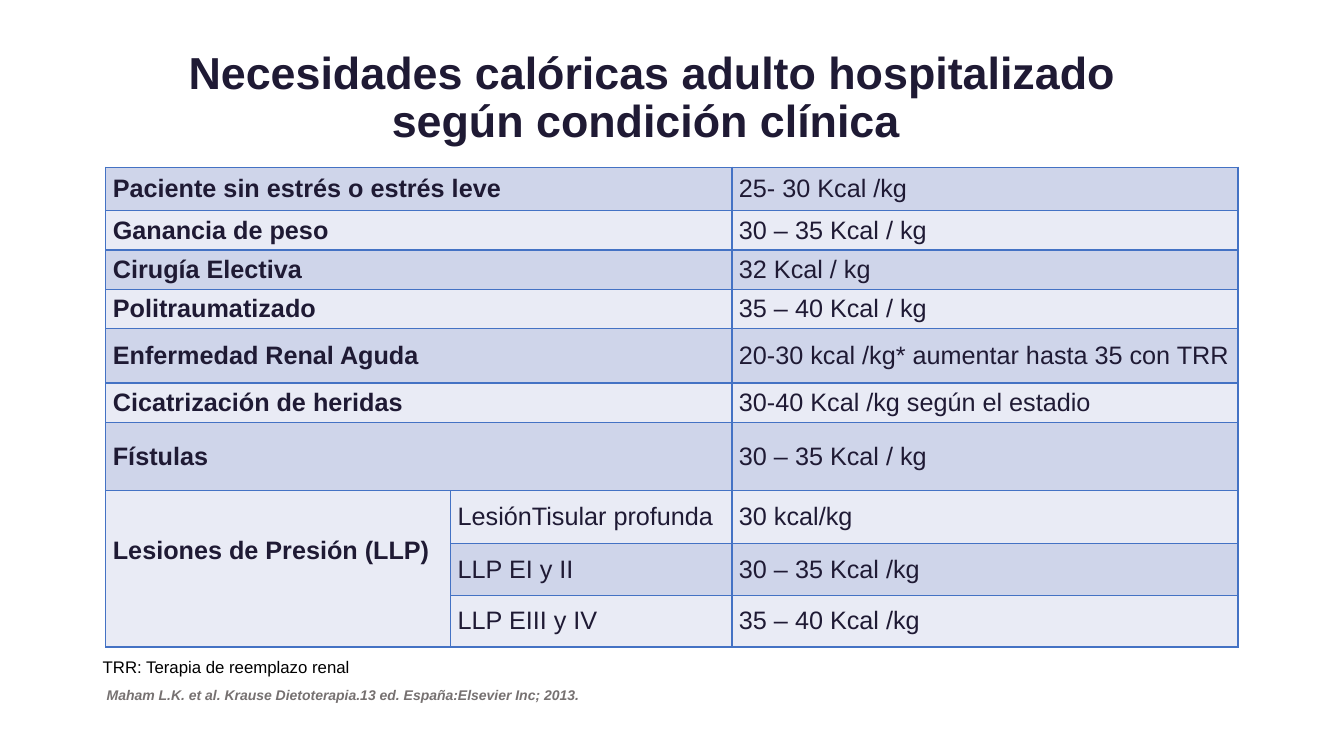
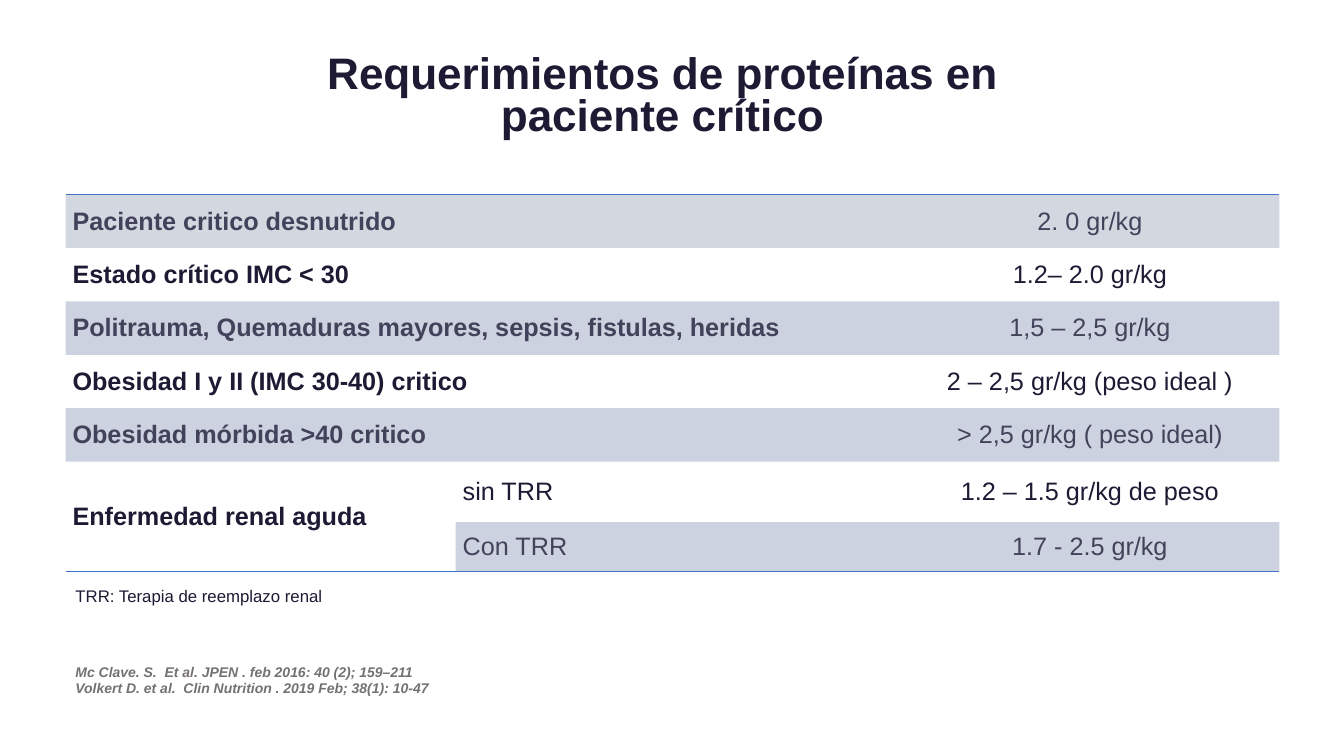
from lxml import etree
from pptx import Presentation
from pptx.dml.color import RGBColor
from pptx.enum.text import MSO_ANCHOR as Anchor, MSO_AUTO_SIZE as AutoSize, PP_ALIGN as Align
from pptx.oxml.ns import qn
from pptx.util import Inches, Pt

FONT = "Arial"
NO_GRID_STYLE = "{2D5ABB26-0587-4C30-8999-92F81FD0307C}"
COLORS = {
    "ink": "1F1A34", "muted": "43425B", "grey": "767171", "black": "000000",
    "rule": "4472C4", "band": "CFD5EA", "pale": "E9EBF5",
    "slate": "203864", "navy": "002060",
}
TRR_NOTE = "TRR: Terapia de reemplazo renal"
TITLE = dict(bold=True, align=Align.CENTER)
NOTE = dict(size=12, wrap=False, grow=True)
SOURCE = dict(size=10, color="grey", bold=True, italic=True, grow=True)

# Each row: label, sub-label, value, height.
# No sub-label: the label spans two columns. No label: the one above spans down.
CALORIES = [
    ("Paciente sin estrés o estrés leve", "", "25- 30 Kcal /kg", 0.43),
    ("Ganancia de peso", "", "30 – 35 Kcal / kg", 0.39),
    ("Cirugía Electiva", "", "32 Kcal / kg", 0.39),
    ("Politraumatizado", "", "35 – 40 Kcal / kg", 0.39),
    ("Enfermedad Renal Aguda", "", "20-30 kcal /kg* aumentar hasta 35 con TRR", 0.54),
    ("Cicatrización de heridas", "", "30-40 Kcal /kg según el estadio", 0.39),
    ("Fístulas", "", "30 – 35 Kcal / kg", 0.68),
    ("Lesiones de Presión (LLP)", "LesiónTisular profunda", "30 kcal/kg", 0.52),
    ("", "LLP EI y II", "30 – 35 Kcal /kg", 0.52),
    ("", "LLP EIII y IV", "35 – 40 Kcal /kg", 0.51),
]
PROTEINS = [
    ("Paciente critico desnutrido", "", "2. 0 gr/kg", 0.53),
    ("Estado crítico IMC < 30", "", "1.2– 2.0 gr/kg", 0.53),
    ("Politrauma, Quemaduras mayores, sepsis, fistulas, heridas", "", "1,5 – 2,5 gr/kg", 0.53),
    ("Obesidad I y II (IMC 30-40) critico", "", "2 – 2,5 gr/kg (peso ideal )", 0.53),
    ("Obesidad mórbida >40 critico", "", "> 2,5 gr/kg ( peso ideal)", 0.53),
    ("Enfermedad renal aguda", "sin TRR", "1.2 – 1.5 gr/kg de peso", 0.6),
    ("", "Con TRR", "1.7 - 2.5 gr/kg", 0.49),
]


def rgb(name):
    return RGBColor.from_string(COLORS[name])


def write(tf, lines, size=18, color="ink", bold=False, italic=False, align=Align.LEFT, spacing=None):
    """Fill a text frame, one paragraph per line."""
    for i, line in enumerate(lines):
        p = tf.add_paragraph() if i else tf.paragraphs[0]
        p.text, p.alignment = line, align
        if spacing:
            p.line_spacing = spacing
        for r in p.runs:
            f = r.font
            f.name, f.size, f.bold, f.italic = FONT, Pt(size), bold, italic
            f.color.rgb = rgb(color)


def add_text(slide, box, *lines, wrap=True, grow=False, anchor=Anchor.TOP, **style):
    tf = slide.shapes.add_textbox(*map(Inches, box)).text_frame
    tf.word_wrap, tf.vertical_anchor = wrap, anchor
    tf.auto_size = AutoSize.SHAPE_TO_FIT_TEXT if grow else AutoSize.NONE
    write(tf, lines, **style)


def set_borders(cell, sides):
    """Draw 1 pt rules on the given sides, a subset of LRTB in that order."""
    tc_pr = cell._tc.get_or_add_tcPr()
    for side in sides:
        ln = etree.SubElement(tc_pr, qn(f"a:ln{side}"), w=str(Pt(1)))
        fill = etree.SubElement(ln, qn("a:solidFill"))
        etree.SubElement(fill, qn("a:srgbClr"), val=COLORS["rule"])


def set_fill(cell, color, alpha=None):
    if color is None:
        cell.fill.background()
        return
    cell.fill.solid()
    cell.fill.fore_color.rgb = rgb(color)
    if alpha:
        clr = cell._tc.tcPr.find(qn("a:solidFill"))[0]
        etree.SubElement(clr, qn("a:alpha"), val=str(alpha * 1000))


def add_rows(slide, left, top, widths, rows, fills, grid, alpha=None,
             shaded_text="ink", value_align=Align.JUSTIFY):
    """Add a banded table; grid rules every cell, otherwise only top and bottom."""
    height = sum(row[-1] for row in rows)
    frame = slide.shapes.add_table(len(rows), len(widths), *map(Inches, (left, top, sum(widths), height)))
    table = frame.table
    table.first_row = table.horz_banding = False
    table._tbl.tblPr.find(qn("a:tableStyleId")).text = NO_GRID_STYLE
    for column, width in zip(table.columns, widths):
        column.width = Inches(width)

    last = len(rows) - 1
    last_label = max(i for i, row in enumerate(rows) if row[0])
    for i, (*texts, row_height) in enumerate(rows):
        table.rows[i].height = Inches(row_height)
        for j, text in enumerate(texts):
            cell = table.cell(i, j)
            ends = i == last or (j == 0 and i >= last_label)
            set_borders(cell, "LRTB" if grid else "T" * (i == 0) + "B" * ends)
            set_fill(cell, fills[last_label if j == 0 and ends else i], alpha)
            cell.vertical_anchor = Anchor.MIDDLE
            cell.margin_left = cell.margin_right = Inches(0.07)
            cell.margin_top = cell.margin_bottom = 0
            if text:
                write(cell.text_frame, [text], bold=j == 0,
                      color=shaded_text if fills[i] else "ink",
                      align=value_align if j == 2 else Align.JUSTIFY)
        if not texts[1]:
            table.cell(i, 0).merge(table.cell(i, 1))
    table.cell(last_label, 0).merge(table.cell(last, 0))
    return table, last_label


def build_calories(slide):
    add_text(slide, (0.72, 0.64, 11.5, 0.68), "Necesidades calóricas adulto hospitalizado\vsegún condición clínica ",
             size=32, spacing=0.9, anchor=Anchor.MIDDLE, **TITLE)
    fills = [("band", "pale")[i % 2] for i in range(len(CALORIES))]
    table, label_row = add_rows(slide, 1.05, 1.66, (3.42, 2.79, 5.02), CALORIES, fills, grid=True)
    table.cell(label_row, 0).margin_bottom = Inches(0.36)
    add_text(slide, (0.96, 6.76, 7.09, 0.27),
             "Maham L.K. et al. Krause Dietoterapia.13 ed. España:Elsevier Inc; 2013.", **SOURCE)
    add_text(slide, (0.92, 6.47, 2.67, 0.3), TRR_NOTE, color="black", **NOTE)


def build_proteins(slide):
    fills = [None if i % 2 else "navy" for i in range(len(PROTEINS))]
    fills[0] = "slate"
    add_rows(slide, 0.65, 1.93, (3.87, 4.41, 3.76), PROTEINS, fills, grid=False, alpha=20,
             shaded_text="muted", value_align=Align.CENTER)
    add_text(slide, (0.65, 6.53, 3.82, 0.44),
             "Mc Clave. S.  Et al. JPEN . feb 2016: 40 (2); 159–211",
             "Volkert D. et al.  Clin Nutrition . 2019 Feb; 38(1): 10-47", wrap=False, **SOURCE)
    add_text(slide, (2.76, 0.45, 7.62, 1.04), "Requerimientos de proteínas en paciente crítico",
             size=31.5, spacing=0.8, anchor=Anchor.MIDDLE, **TITLE)
    add_text(slide, (0.65, 5.76, 2.67, 0.3), TRR_NOTE, **NOTE)


def main():
    prs = Presentation()
    prs.slide_width, prs.slide_height = Inches(13.33), Inches(7.5)
    for build in (build_calories, build_proteins):
        build(prs.slides.add_slide(prs.slide_layouts[6]))
    prs.save("out.pptx")


if __name__ == "__main__":
    main()
